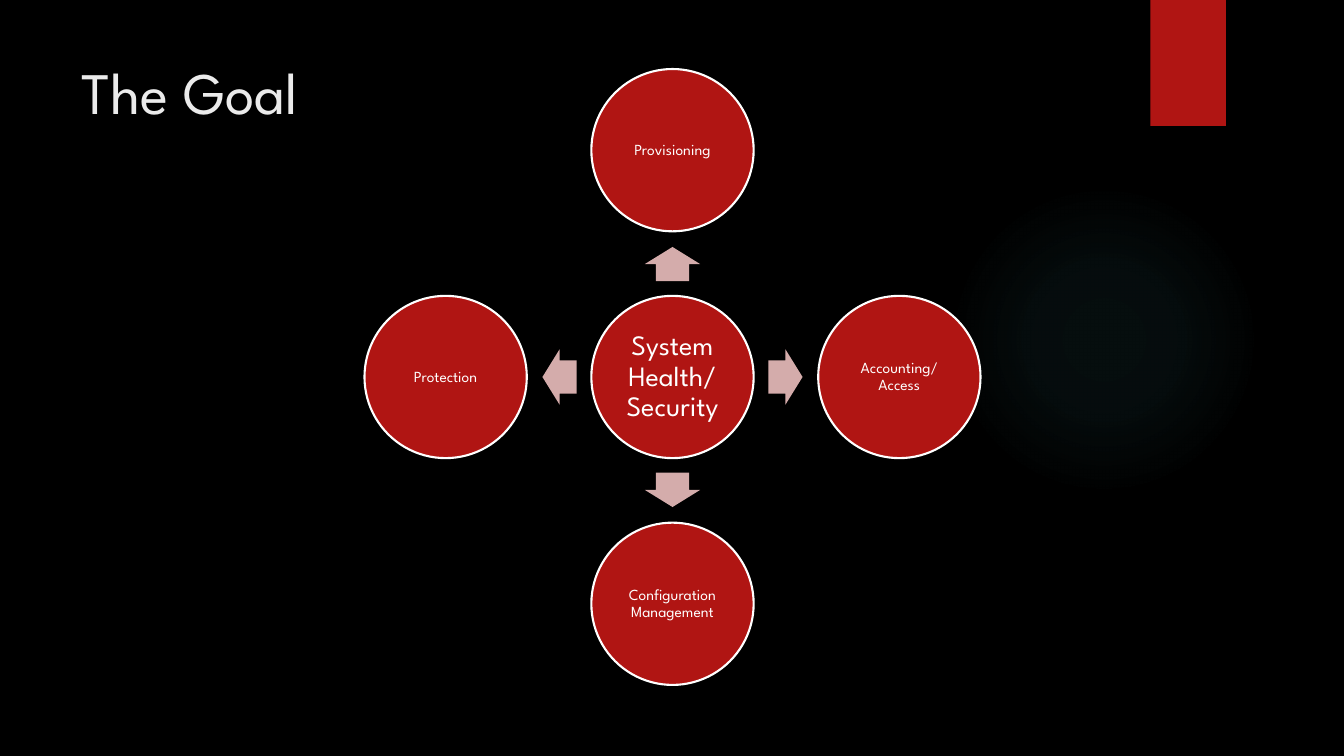
"""Build a slide with one central goal and four areas radiating from it."""
import math

from lxml import etree
from pptx import Presentation, util as u
from pptx.dml.color import RGBColor
from pptx.enum import shapes, text
from pptx.oxml import parse_xml
from pptx.oxml.ns import nsdecls, qn


def color(value):
    """Turn a hex string into a colour."""
    return RGBColor.from_string(value)


class GoalSlide:
    """Holds the style and the current slide."""

    font = "League Spartan"
    red, pink, white, title_gray, teal = "B01513", "D4ACAB", "FFFFFF", "EBEBEB", "50B9C1"

    def __init__(self, presentation):
        """Add a blank slide with a black background."""
        self.slide = presentation.slides.add_slide(presentation.slide_layouts[6])
        fill = self.slide.background.fill
        fill.solid()
        fill.fore_color.rgb = color("000000")

    def shape(self, kind, left, top, width, height, fill):
        """Add a filled shape with no line and no shadow."""
        shape = self.slide.shapes.add_shape(
            kind, u.Inches(left), u.Inches(top), u.Inches(width), u.Inches(height))
        shape.shadow.inherit = False
        shape.fill.solid()
        shape.fill.fore_color.rgb = color(fill)
        shape.line.fill.background()
        return shape

    def label(self, frame, words, size, ink):
        """Put one run into a text frame and return its paragraph."""
        frame.word_wrap = True
        paragraph = frame.paragraphs[0]
        run = paragraph.add_run()
        run.text = words
        run.font.name = self.font
        run.font.size = u.Pt(size)
        run.font.color.rgb = color(ink)
        return paragraph

    def title(self, words, left, top, width, height):
        """Add the slide title."""
        box = self.slide.shapes.add_textbox(
            u.Inches(left), u.Inches(top), u.Inches(width), u.Inches(height))
        self.label(box.text_frame, words, 42, self.title_gray)

    def glow(self, left, top, size):
        """Add a round glow that fades towards its edge."""
        shape = self.shape(shapes.MSO_SHAPE.OVAL, left, top, size, size, self.teal)
        gradient = parse_xml(f'<a:gradFill {nsdecls("a")} rotWithShape="1"><a:gsLst/></a:gradFill>')
        for position, alpha in ((0, 7), (36, 6), (69, 0)):
            stop = etree.SubElement(gradient[0], qn("a:gs"), pos=str(position * 1000))
            tint = etree.SubElement(stop, qn("a:srgbClr"), val=self.teal)
            etree.SubElement(tint, qn("a:alpha"), val=str(alpha * 1000))
        route = etree.SubElement(gradient, qn("a:path"), path="circle")
        etree.SubElement(route, qn("a:fillToRect"), l="50000", t="50000", r="50000", b="50000")
        properties = shape.element.spPr
        properties.replace(properties.find(qn("a:solidFill")), gradient)

    def circle(self, x, y, words, size, inset):
        """Add a labelled circle centred on a point."""
        diameter = 1.61
        shape = self.shape(shapes.MSO_SHAPE.OVAL, x - diameter / 2, y - diameter / 2,
                           diameter, diameter, self.red)
        shape.line.color.rgb = color(self.white)
        shape.line.width = u.Pt(1.5)
        frame = shape.text_frame
        frame.margin_left = frame.margin_right = u.Inches(inset)
        frame.margin_top = frame.margin_bottom = u.Inches(inset)
        frame.vertical_anchor = text.MSO_ANCHOR.MIDDLE
        paragraph = self.label(frame, words, size, self.white)
        paragraph.alignment = text.PP_ALIGN.CENTER
        paragraph.line_spacing = 0.9

    def arrow(self, x, y, angle):
        """Add a block arrow centred on a point."""
        width, height = 0.34, 0.55
        shape = self.shape(shapes.MSO_SHAPE.RIGHT_ARROW, x - width / 2, y - height / 2,
                           width, height, self.pink)
        shape.adjustments[0] = 0.6
        shape.adjustments[1] = 0.5
        shape.rotation = angle


def main():
    """Build and save the presentation."""
    presentation = Presentation()
    presentation.slide_width = u.Inches(13.33)
    presentation.slide_height = u.Inches(7.5)
    goal = GoalSlide(presentation)
    goal.glow(9.41, 1.83, 3.08)
    goal.shape(shapes.MSO_SHAPE.RECTANGLE, 11.41, 0, 0.75, 1.25, goal.red)
    goal.title("The Goal", 0.71, 0.5, 10.29, 1.53)

    center_x, center_y = 6.67, 3.74
    arrow_radius, circle_radius = 1.12, 2.25
    goal.circle(center_x, center_y, "System Health/ Security", 20, 0.03)
    areas = ((270, "Provisioning"), (0, "Accounting/ Access"),
             (90, "Configuration Management"), (180, "Protection"))
    for angle, words in areas:
        across, down = math.cos(math.radians(angle)), math.sin(math.radians(angle))
        goal.arrow(center_x + arrow_radius * across, center_y + arrow_radius * down, angle)
        goal.circle(center_x + circle_radius * across, center_y + circle_radius * down,
                    words, 11, 0.02)
    presentation.save("out.pptx")


if __name__ == "__main__":
    main()
